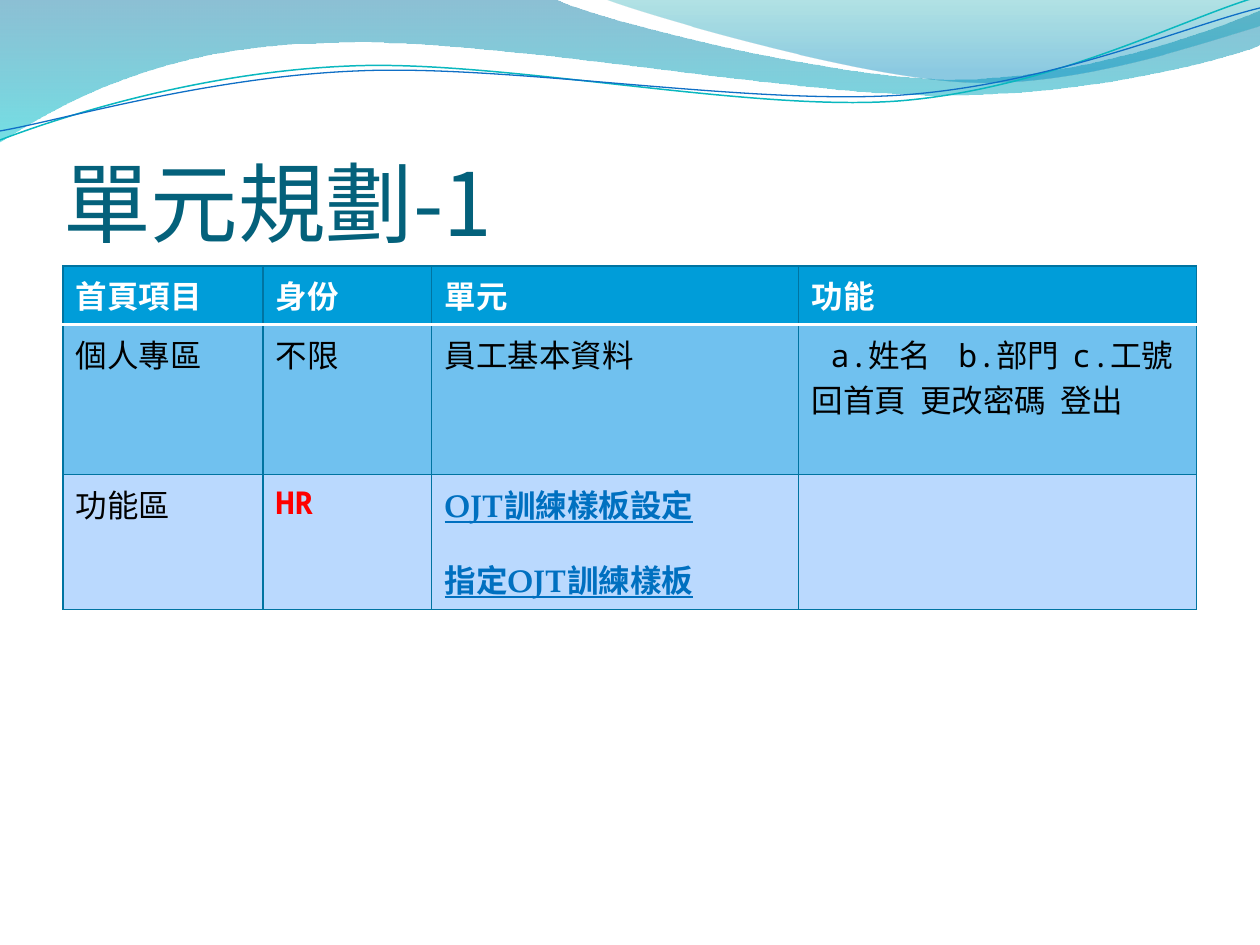
from lxml import etree
from pptx import Presentation
from pptx import util as u
from pptx.dml.color import RGBColor
from pptx.enum import text
from pptx.oxml import parse_xml
from pptx.oxml.ns import nsdecls, qn

SCALE = 914400 / 126
WHITE = RGBColor(0xFF, 0xFF, 0xFF)
BLACK = RGBColor(0, 0, 0)
RED = RGBColor(0xFF, 0, 0)
LINK = RGBColor(0x00, 0x70, 0xC0)
TITLE = RGBColor(0x04, 0x61, 0x7B)
HEADER = RGBColor(0x00, 0x9D, 0xD9)
BAND = RGBColor(0x70, 0xC1, 0xEF)
PALE = RGBColor(0xBA, 0xD9, 0xFE)
BORDER = RGBColor(0x00, 0x74, 0xA1)
CYAN = RGBColor(0x00, 0xC6, 0xCF)
GREEN = RGBColor(0x00, 0xA1, 0xA9)
BLUE = RGBColor(0x00, 0x8B, 0xBF)
TEAL_LINE = RGBColor(0x0A, 0xB8, 0xBF)
BLUE_LINE = RGBColor(0x0F, 0x6F, 0xC6)
SANS, MONO, SERIF = "Noto Sans CJK SC", "Noto Sans Mono", "TeX Gyre Pagella"


def px(n):
    return u.Emu(round(n * SCALE))


def add_wave(slide, start, segments, closed):
    points = [(px(x), px(y)) for seg in segments for x, y in seg]
    builder = slide.shapes.build_freeform(px(start[0]), px(start[1]))
    builder.add_line_segments(points, close=closed)
    sp = builder.convert_to_shape()
    sp.shadow.inherit = False
    lines = iter(list(sp._element.iter(qn("a:lnTo"))))
    for seg in segments:
        steps = [next(lines) for _ in seg]
        if len(seg) == 3:
            bezier = etree.Element(qn("a:cubicBezTo"))
            steps[0].addprevious(bezier)
            for step in steps:
                bezier.append(step[0])
                step.getparent().remove(step)
    return sp


def add_gradient_wave(slide, start, segments, stops):
    sp = add_wave(slide, start, segments, True)
    sp.line.fill.background()
    gs = "".join(
        f'<a:gs pos="{pos * 1000}"><a:srgbClr val="{color}">'
        f'<a:alpha val="{alpha * 1000}"/></a:srgbClr></a:gs>'
        for pos, color, alpha in stops)
    sp._element.spPr.find(qn("a:custGeom")).addnext(parse_xml(
        f'<a:gradFill {nsdecls("a")} rotWithShape="1"><a:gsLst>{gs}</a:gsLst>'
        '<a:lin ang="5400000" scaled="0"/></a:gradFill>'))


def add_line_wave(slide, start, segments, color, width):
    sp = add_wave(slide, start, segments, False)
    sp.fill.background()
    sp.line.color.rgb = color
    sp.line.width = u.Pt(width)


def format_run(r, font, size, color, bold=False, underline=False):
    r.font.name = font
    r.font.size = u.Pt(size)
    r.font.color.rgb = color
    r.font.bold = bold
    r.font.underline = underline
    ea = etree.Element(qn("a:ea"), typeface=SANS)
    r._r.rPr.find(qn("a:latin")).addnext(ea)


def add_title(slide, value):
    sp = slide.shapes.title
    sp.left, sp.top, sp.width, sp.height = map(px, (63, 96, 1134, 158))
    tf = sp.text_frame
    tf.margin_left = tf.margin_right = tf.margin_bottom = 0
    tf.margin_top = u.Inches(0.05)
    tf.vertical_anchor = text.MSO_ANCHOR.BOTTOM
    tf.text = value
    p = tf.paragraphs[0]
    p.alignment = text.PP_ALIGN.LEFT
    format_run(p.runs[0], SANS, 50, TITLE)


def set_borders(cell, header, below_header):
    tcPr = cell._tc.get_or_add_tcPr()
    for side in "LRTB":
        thick = (header and side == "B") or (below_header and side == "T")
        color, width = (WHITE, 2) if thick else (BORDER, 0.75)
        ln = etree.SubElement(tcPr, qn(f"a:ln{side}"), w=str(u.Pt(width)))
        fill = etree.SubElement(ln, qn("a:solidFill"))
        etree.SubElement(fill, qn("a:srgbClr"), val=str(color))


def fill_spaced(p, words, gaps, margin, indent):
    pPr = p._p.get_or_add_pPr()
    pPr.set("marL", str(px(margin)))
    pPr.set("indent", str(px(indent)))
    for word, gap in zip(words, gaps + [None]):
        for value in [word] if gap is None else [word, " "]:
            r = p.add_run()
            r.text = value
            format_run(r, MONO, 18, BLACK)
        if gap is not None:
            r._r.rPr.set("spc", str(round(gap * 100)))


def add_table(slide, rows, fills, widths, heights):
    frame = slide.shapes.add_table(len(rows), len(widths), px(63), px(266),
                                   px(sum(widths)), px(sum(heights)))
    table = frame.table
    for col, width in zip(table.columns, widths):
        col.width = px(width)
    for i, (row, fill, height) in enumerate(zip(rows, fills, heights)):
        table.rows[i].height = px(height)
        for j, (value, font, color, bold, underline) in enumerate(row):
            cell = table.cell(i, j)
            set_borders(cell, i == 0, i == 1)
            cell.fill.solid()
            cell.fill.fore_color.rgb = fill
            cell.text_frame.text = value
            for p in cell.text_frame.paragraphs:
                for r in p.runs:
                    format_run(r, font, 18, color, bold, underline)
    return table


def main():
    prs = Presentation()
    prs.slide_width, prs.slide_height = u.Inches(10), u.Inches(7.5)
    slide = prs.slides.add_slide(prs.slide_layouts[5])

    add_gradient_wave(slide, (0, 0), [
        [(554, -1)],
        ((600, 21), (837, 79), (955, 79)),
        ((1075, 79), (1207, 33), (1260, 11)),
        [(1261, 45)],
        ((1239, 55), (1096, 96), (940, 95)),
        ((783, 95), (481, 35), (324, 43)),
        ((163, 45), (58, 105), (-1, 142)),
    ], [(0, BORDER, 45), (100, CYAN, 55)])
    add_gradient_wave(slide, (604, -1), [
        ((641, 14), (859, 78), (969, 82)),
        ((1079, 87), (1211, 40), (1260, 26)),
        [(1260, 0)],
    ], [(0, GREEN, 30), (80, BLUE, 45)])
    add_line_wave(slide, (0, 140), [
        ((60, 117), (199, 72), (349, 66)),
        ((498, 59), (747, 112), (898, 101)),
        ((1050, 89), (1182, 19), (1257, -3)),
    ], TEAL_LINE, 0.85)
    add_line_wave(slide, (0, 131), [
        ((59, 121), (207, 77), (357, 71)),
        ((508, 64), (752, 106), (903, 95)),
        ((1053, 84), (1186, 26), (1260, 8)),
    ], BLUE_LINE, 0.75)

    add_title(slide, "單元規劃-1")
    header = [(name, font, WHITE, True, False) for name, font in (
        ("首頁項目", MONO), ("身份", SERIF), ("單元", MONO), ("功能", MONO))]
    personal = [(value, font, BLACK, False, False) for value, font in (
        ("個人專區", MONO), ("不限", SANS), ("員工基本資料", MONO), ("", MONO))]
    functions = [
        ("功能區", MONO, BLACK, False, False),
        ("HR", MONO, RED, True, False),
        ("OJT訓練樣板設定\n指定OJT訓練樣板", SERIF, LINK, True, True),
        ("", MONO, BLACK, False, False),
    ]
    table = add_table(slide, [header, personal, functions],
                      [HEADER, BAND, PALE], [200, 169, 367, 398], [58, 150, 135])
    tf = table.cell(1, 3).text_frame
    fill_spaced(tf.paragraphs[0], ["a.姓名", "b.部門", "c.工號"], [11.5, 3.5], 48, -29)
    fill_spaced(tf.add_paragraph(), ["回首頁", "更改密碼", "登出"], [4, 4], 48, -48)
    table.cell(2, 2).text_frame.paragraphs[1].space_before = u.Pt(17)

    prs.save("out.pptx")


main()
